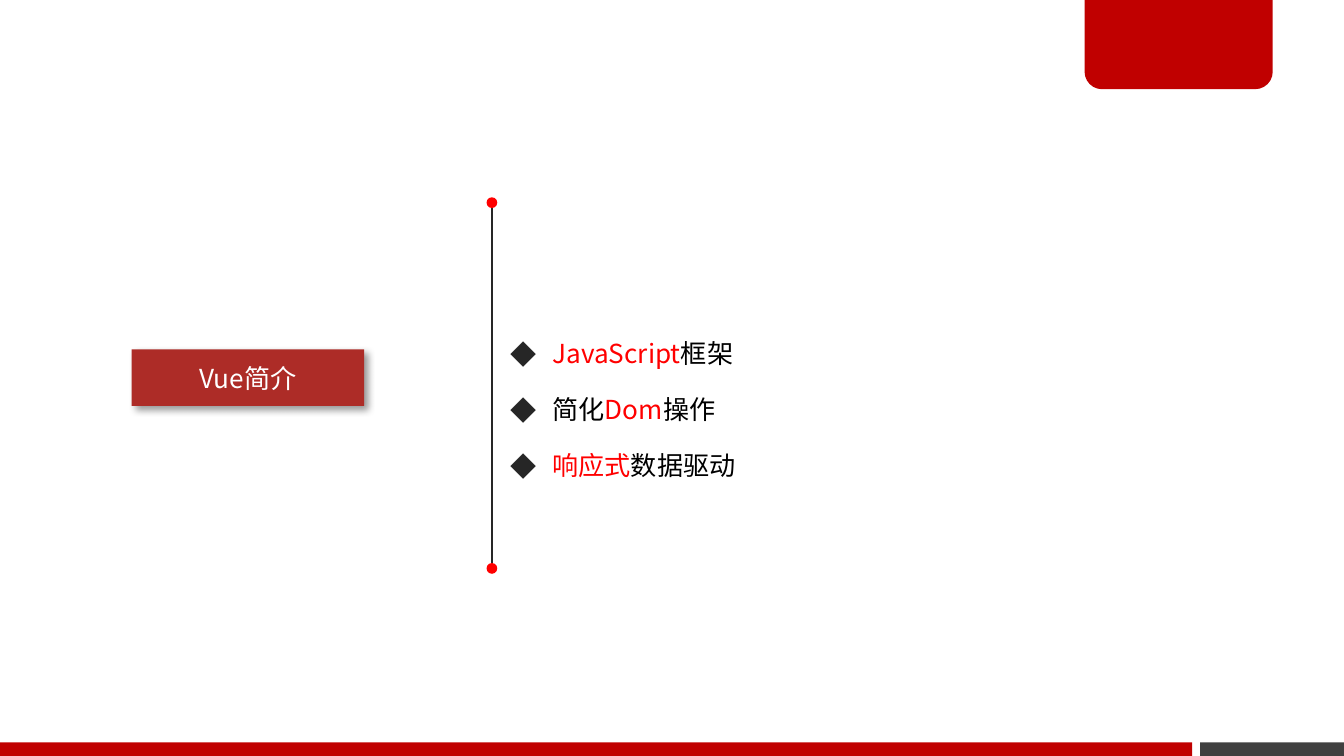
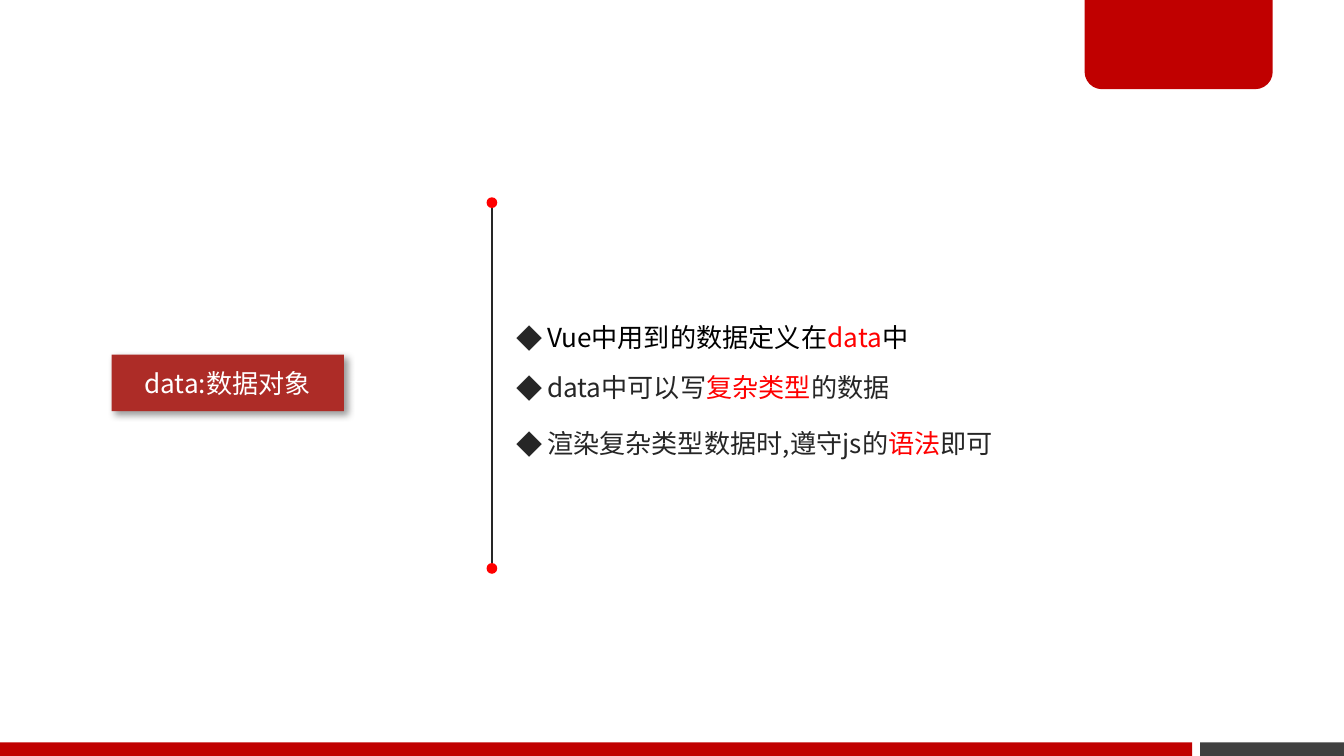
from lxml import etree
from pptx import Presentation
from pptx.dml.color import RGBColor
from pptx.enum.shapes import MSO_CONNECTOR, MSO_SHAPE
from pptx.enum.text import MSO_ANCHOR, MSO_AUTO_SIZE, PP_ALIGN
from pptx.oxml import parse_xml
from pptx.oxml.ns import nsdecls, qn
from pptx.util import Inches, Pt

RECT, OVAL = MSO_SHAPE.RECTANGLE, MSO_SHAPE.OVAL
TAB = MSO_SHAPE.ROUND_2_SAME_RECTANGLE
STRAIGHT = MSO_CONNECTOR.STRAIGHT
TOP, MIDDLE = MSO_ANCHOR.TOP, MSO_ANCHOR.MIDDLE
LEFT, CENTER = PP_ALIGN.LEFT, PP_ALIGN.CENTER

BAND_RED = RGBColor(0xC0, 0x00, 0x00)
BAND_GREY = RGBColor(0x40, 0x40, 0x40)
LABEL_RED = RGBColor(0xAD, 0x2C, 0x27)
ACCENT = RGBColor(0xFF, 0x00, 0x00)
INK = RGBColor(0x26, 0x26, 0x26)
BLACK = RGBColor(0x00, 0x00, 0x00)
WHITE = RGBColor(0xFF, 0xFF, 0xFF)

FONT = "Noto Sans CJK SC"
WIDTH, HEIGHT = Inches(10), Inches(5.625)

# Boxes are left, top, width, height in percent of the slide.
FOOTER_BOX = (0, 98.2, 100, 1.8)
TAB_BOX = (80.7, -0.4, 14, 12.2)
DIVIDER_BOX = (36.2, 26.1, 0.8, 49.8)
LABEL_SIZE = (17.3, 7.5)
LIST_SIZE = (47.2, 23.4)

TOPICS = [
    {
        "label": "Vue简介", "label_at": (9.8, 46.2),
        "list_at": (37, 43.7), "indent": 0.31, "gaps": (0, 13.3, 13.3),
        "items": [
            [("JavaScript", ACCENT), ("框架", BLACK)],
            [("简化", BLACK), ("Dom", ACCENT), ("操作", BLACK)],
            [("响应式", ACCENT), ("数据驱动", BLACK)],
        ],
    },
    {
        "label": "data:数据对象", "label_at": (8.3, 46.9),
        "list_at": (37.4, 41.6), "indent": 0.23, "gaps": (0, 10.2, 12.9),
        "items": [
            [("Vue中用到的数据定义在", BLACK), ("data", ACCENT), ("中", BLACK)],
            [("data中可以写", INK), ("复杂类型", ACCENT), ("的数据", INK)],
            [("渲染复杂类型数据时,遵守js的", INK), ("语法", ACCENT), ("即可", INK)],
        ],
    },
]


def to_emu(box):
    return [int(share * side / 100)
            for share, side in zip(box, (WIDTH, HEIGHT, WIDTH, HEIGHT))]


def set_all(target, **values):
    for name, value in values.items():
        setattr(target, name, value)


def place(shape, box):
    set_all(shape, **dict(zip(("left", "top", "width", "height"), to_emu(box))))


def add_filled(s, kind, box, color):
    shape = s.shapes.add_shape(kind, *to_emu(box))
    shape.shadow.inherit = False
    shape.fill.solid()
    shape.fill.fore_color.rgb = color
    shape.line.fill.background()
    return shape


def add_run(p, text, color):
    r = p.add_run()
    r.text = text
    set_all(r.font, size=Pt(14), name=FONT, bold=False)
    r.font.color.rgb = color
    etree.SubElement(r.font._element, qn("a:ea"), typeface=FONT)


def add_frame(prs, s):
    """Draw the footer band and corner tab, then hand them to the master."""
    x, y, w, h = FOOTER_BOX
    grey_width, red_width = w * 0.107, w * 0.887
    tab = add_filled(s, TAB, TAB_BOX, BAND_RED)
    tab.adjustments[0], tab.adjustments[1] = 0, 0.19
    parts = [
        add_filled(s, RECT, (x + w - grey_width, y, grey_width, h), BAND_GREY),
        tab,
        add_filled(s, RECT, (x, y, red_width, h), BAND_RED),
    ]
    for number, part in enumerate(parts, 20):
        part.element.nvSpPr.cNvPr.set("id", str(number))
        prs.slide_master.shapes.element.append(part.element)


def add_divider(s, box):
    """Draw a vertical rule with a dot at each end of the box."""
    x, y, w, h = box
    dot = w * WIDTH / HEIGHT
    left, top, width, height = to_emu((x, y + dot / 2, w, h - dot))
    middle = left + width // 2
    rule = s.shapes.add_connector(STRAIGHT, middle, top, middle, top + height)
    rule.line.color.rgb = INK
    rule.line.width = Pt(0.75)
    etree.SubElement(rule.element.spPr, qn("a:effectLst"))
    for dot_top in (y, y + h - dot):
        add_filled(s, OVAL, (x, dot_top, w, dot), ACCENT)


def fill_label(title, box, text):
    place(title, box)
    title.fill.solid()
    title.fill.fore_color.rgb = LABEL_RED
    title.element.spPr.append(parse_xml(
        f'<a:effectLst {nsdecls("a")}><a:outerShdw blurRad="{Pt(4)}" '
        f'dist="{Pt(3)}" dir="2700000" algn="tl" rotWithShape="0">'
        '<a:srgbClr val="000000"><a:alpha val="40000"/></a:srgbClr>'
        '</a:outerShdw></a:effectLst>'))
    tf = title.text_frame
    set_all(tf, auto_size=MSO_AUTO_SIZE.NONE, vertical_anchor=MIDDLE, word_wrap=True)
    p = tf.paragraphs[0]
    p.alignment = CENTER
    add_run(p, text, WHITE)


def set_bullet(p, indent):
    pPr = p._p.get_or_add_pPr()
    pPr.set("marL", str(Inches(indent)))
    pPr.set("indent", str(-Inches(indent)))
    color = etree.SubElement(pPr, qn("a:buClr"))
    etree.SubElement(color, qn("a:srgbClr"), val=str(INK))
    etree.SubElement(pPr, qn("a:buFont"), typeface=FONT)
    etree.SubElement(pPr, qn("a:buChar"), char="◆")


def fill_list(body, box, items, indent, gaps):
    place(body, box)
    tf = body.text_frame
    set_all(tf, auto_size=MSO_AUTO_SIZE.NONE, vertical_anchor=TOP, word_wrap=True)
    for i, (runs, gap) in enumerate(zip(items, gaps)):
        p = tf.add_paragraph() if i else tf.paragraphs[0]
        set_all(p, alignment=LEFT, line_spacing=1.0, space_before=Pt(gap))
        set_bullet(p, indent)
        for text, color in runs:
            add_run(p, text, color)


def add_topic(prs, topic):
    s = prs.slides.add_slide(prs.slide_layouts[1])
    add_divider(s, DIVIDER_BOX)
    fill_label(s.shapes.title, topic["label_at"] + LABEL_SIZE, topic["label"])
    fill_list(s.placeholders[1], topic["list_at"] + LIST_SIZE,
              topic["items"], topic["indent"], topic["gaps"])
    return s


def main():
    prs = Presentation()
    set_all(prs, slide_width=WIDTH, slide_height=HEIGHT)
    slides = [add_topic(prs, topic) for topic in TOPICS]
    add_frame(prs, slides[0])
    prs.save("out.pptx")


if __name__ == "__main__":
    main()
